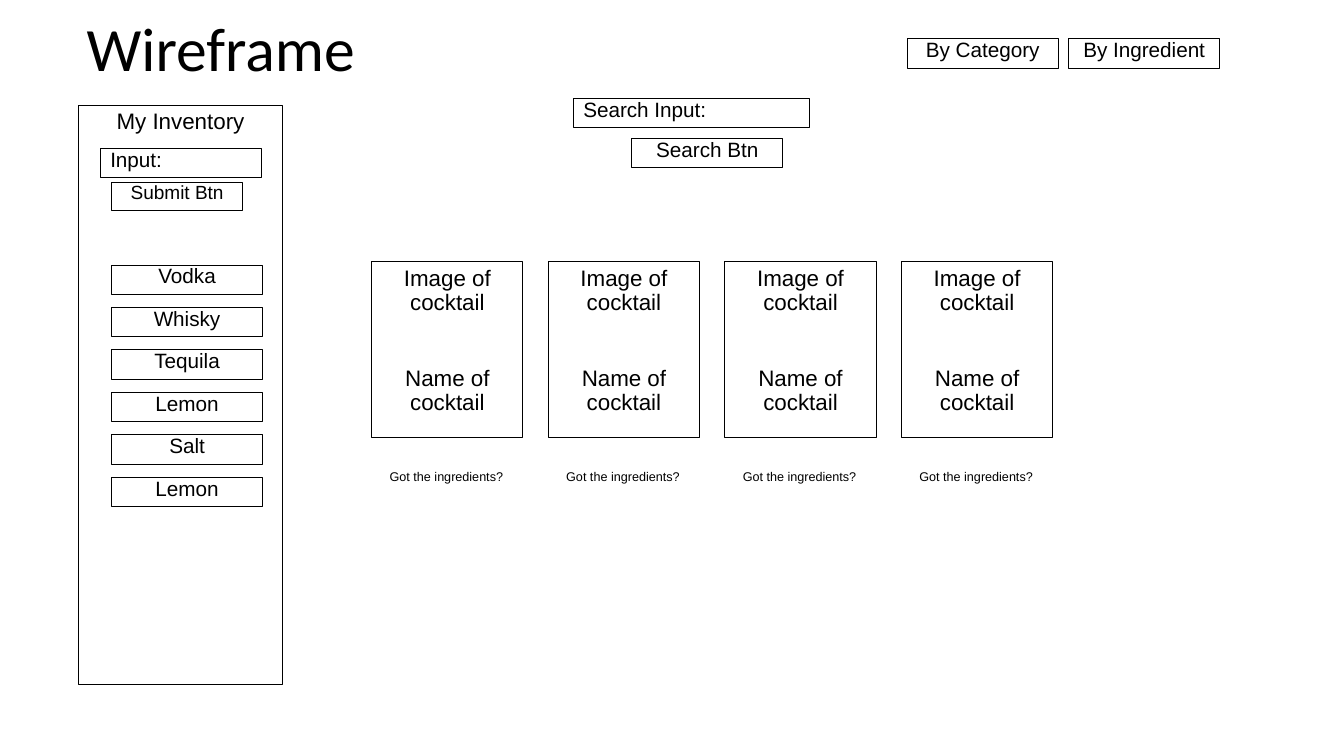
from pptx import Presentation
from pptx.dml.color import RGBColor
from pptx.enum.shapes import MSO_SHAPE
from pptx.enum.text import MSO_ANCHOR, MSO_AUTO_SIZE, PP_ALIGN
from pptx.util import Cm, Pt

COLORS = {"ink": "000000", "paper": "FFFFFF"}
BUTTON_W, BUTTON_H = 3.81, 0.74
INGREDIENTS = ["Vodka", "Whisky", "Tequila", "Lemon", "Salt", "Lemon"]


def write(tf, text, font="Arial", size=14.8, align=PP_ALIGN.CENTER,
          anchor=MSO_ANCHOR.TOP, spacing=0.9, gap=0):
    """Fill a text frame with one formatted paragraph per line of text."""
    tf.word_wrap = True
    tf.auto_size = MSO_AUTO_SIZE.NONE
    tf.vertical_anchor = anchor
    for i, line in enumerate(text.split("\n")):
        p = tf.add_paragraph() if i else tf.paragraphs[0]
        p.alignment = align
        p.line_spacing = spacing
        p.space_before = Pt(gap if i else 0)
        r = p.add_run()
        r.text = line
        r.font.name = font
        r.font.size = Pt(size)
        r.font.color.rgb = RGBColor.from_string(COLORS["ink"])


def add_box(s, left, top, width, height, text, line="ink", **fmt):
    """Draw an outlined rectangle with text, measured in centimetres."""
    sp = s.shapes.add_shape(MSO_SHAPE.RECTANGLE, Cm(left), Cm(top), Cm(width), Cm(height))
    sp.shadow.inherit = False
    sp.fill.background()
    sp.line.color.rgb = RGBColor.from_string(COLORS[line])
    sp.line.width = Pt(0.75)
    write(sp.text_frame, text, **fmt)


def add_button(s, left, top, text, width=BUTTON_W, height=BUTTON_H, **fmt):
    """Draw a low box with tight line spacing."""
    add_box(s, left, top, width, height, text, spacing=0.7, **fmt)


def add_title(s, left, top, width, height):
    """Place and format the title placeholder."""
    sp = s.shapes.title
    sp.left, sp.top, sp.width, sp.height = Cm(left), Cm(top), Cm(width), Cm(height)
    write(sp.text_frame, "Wireframe", font="Calibri", size=44,
          align=PP_ALIGN.LEFT, anchor=MSO_ANCHOR.MIDDLE)


def add_filters(s, left, top, pitch):
    """Draw the filter buttons in a row."""
    for i, name in enumerate(["By Category", "By Ingredient"]):
        add_button(s, left + i * pitch, top, name)


def add_search(s, left, top, width):
    """Draw the search field with its button centred below."""
    add_button(s, left, top, "Search Input:", width=width, align=PP_ALIGN.LEFT)
    add_button(s, left + (width - BUTTON_W) / 2 + 0.4, top + 1.01, "Search Btn")


def add_inventory(s, left, top, width, height):
    """Draw the inventory panel with its form and ingredient list."""
    add_box(s, left, top, width, height, "My Inventory", size=16)
    add_button(s, left + 0.55, top + 1.08, "Input:", width=4.05, align=PP_ALIGN.LEFT)
    add_button(s, left + 0.83, top + 1.93, "Submit Btn", width=3.31, height=0.71, size=13.6)
    for i, name in enumerate(INGREDIENTS):
        add_button(s, left + 0.83, top + 4.02 + i * 1.07, name)


def add_cards(s, left, top, width, height, pitch, count=4):
    """Draw the row of cocktail cards with their captions."""
    for i in range(count):
        x = left + i * pitch
        add_box(s, x, top, width, height, "Image of cocktail\nName of cocktail", size=16, gap=37)
        add_box(s, x + 0.2, top + height + 0.72, 3.43, 0.64, "Got the ingredients?",
                line="paper", size=9, align=PP_ALIGN.LEFT)


def main():
    """Build the wireframe slide and save it."""
    prs = Presentation()
    prs.slide_width, prs.slide_height = Cm(33.87), Cm(19.05)
    s = prs.slides.add_slide(prs.slide_layouts[5])
    add_title(s, 1.93, 0.05, 16.48, 2.51)
    add_filters(s, 22.86, 0.98, 4.07)
    add_search(s, 14.45, 2.48, 5.95)
    add_inventory(s, 1.98, 2.66, 5.14, 14.6)
    add_cards(s, 9.37, 6.6, BUTTON_W, 4.42, 4.45)
    prs.save("out.pptx")


if __name__ == "__main__":
    main()
